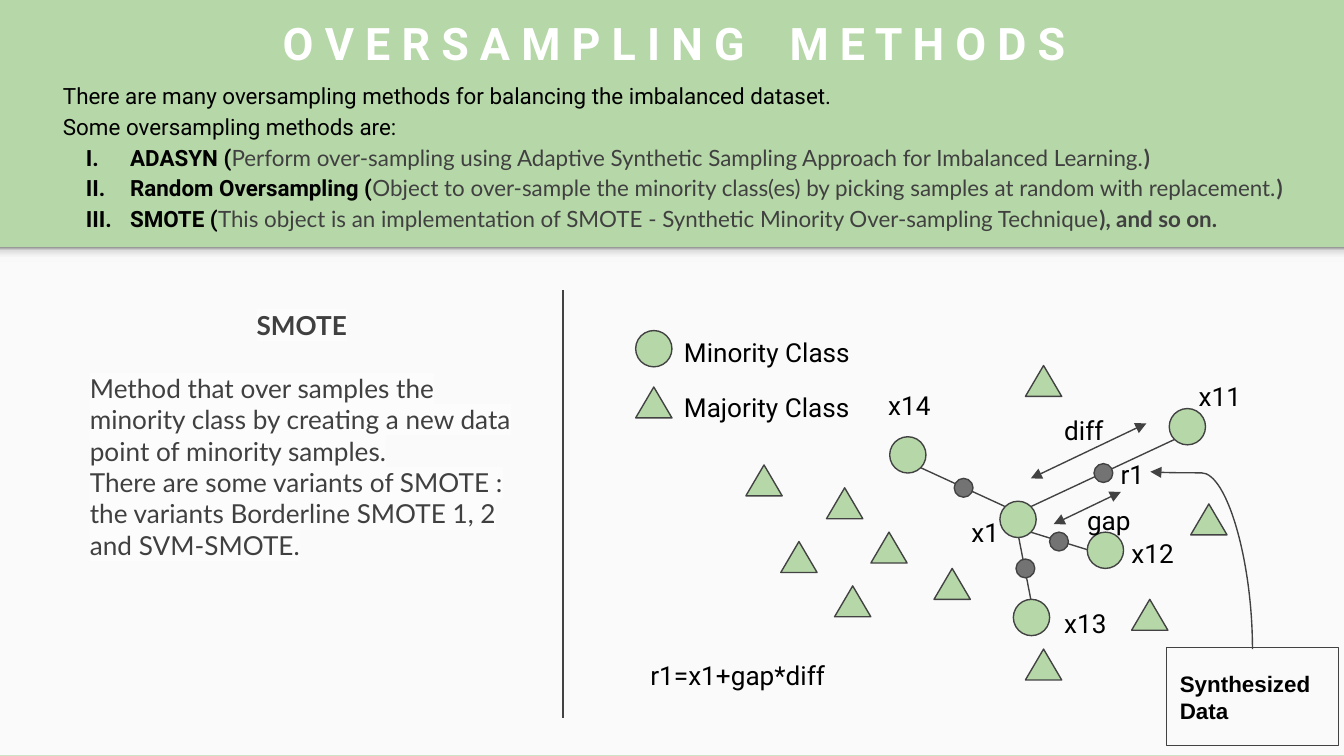
from lxml import etree
from pptx import Presentation
from pptx.dml.color import RGBColor
from pptx.enum.shapes import MSO_CONNECTOR, MSO_SHAPE
from pptx.enum.text import MSO_ANCHOR, MSO_AUTO_SIZE, PP_ALIGN
from pptx.oxml.ns import qn
from pptx.util import Inches, Pt

OVAL, TRIANGLE, RECT = MSO_SHAPE.OVAL, MSO_SHAPE.ISOSCELES_TRIANGLE, MSO_SHAPE.RECTANGLE
STRAIGHT, CURVE = MSO_CONNECTOR.STRAIGHT, MSO_CONNECTOR.CURVE
CENTER, LEFT = PP_ALIGN.CENTER, PP_ALIGN.LEFT
TOP, MIDDLE, BOTTOM = MSO_ANCHOR.TOP, MSO_ANCHOR.MIDDLE, MSO_ANCHOR.BOTTOM
GROW, FIXED = MSO_AUTO_SIZE.SHAPE_TO_FIT_TEXT, MSO_AUTO_SIZE.NONE

GREEN = RGBColor(0xB6, 0xD7, 0xA8)
PAPER = RGBColor(0xFA, 0xFA, 0xFA)
WHITE = RGBColor(0xFF, 0xFF, 0xFF)
BLACK = RGBColor(0, 0, 0)
GRAY = RGBColor(0x40, 0x40, 0x40)
OUTLINE = RGBColor(0x42, 0x42, 0x42)
DOT_GRAY = RGBColor(0x73, 0x73, 0x73)
MARKER_TINT = "FCFCFC"

# Content
TITLE = ["O V E R S A M P L I N G", " ", "M E T H O D S"]
INTRO = ["There are many oversampling methods for balancing the imbalanced dataset.",
         "Some oversampling methods are:"]
METHODS = [  # name, description, ending
    ("ADASYN (", "Perform over-sampling using Adaptive Synthetic Sampling Approach "
     "for Imbalanced Learning.", ")"),
    ("Random Oversampling (", "Object to over-sample the minority class(es) by picking "
     "samples at random with replacement.", ")"),
    ("SMOTE (", "This object is an implementation of SMOTE - Synthetic Minority "
     "Over-sampling Technique", "), and so on."),
]
SMOTE_TITLE = "SMOTE"
SMOTE_TEXT = [
    "Method that over samples the minority class by creating a new data point "
    "of minority samples.",
    "There are some variants of SMOTE : the variants Borderline SMOTE 1, 2 and SVM-SMOTE.",
]
CALLOUT = "Synthesized Data"

# Diagram: left and top of each marker, the legend's one first
MINORITY = [(4.73, 2.46), (6.62, 3.25), (7.44, 3.73), (7.54, 4.46), (8.7, 3.04), (8.09, 3.96)]
MAJORITY = [(4.73, 2.88), (5.81, 4.03), (7.63, 2.72), (5.55, 3.46), (8.42, 4.46), (6.21, 4.36),
            (6.15, 3.63), (6.95, 4.23), (6.48, 3.96), (7.63, 4.83), (8.86, 3.75)]
SYNTHETIC = [(7.1, 3.56), (8.14, 3.45), (7.56, 4.16), (7.81, 3.96)]
NEIGHBOUR_LINES = [(6.85, 3.48, 7.48, 3.77), (8.74, 3.27, 7.67, 3.77),
                   (7.67, 4.46, 7.58, 4), (8.09, 4.09, 7.67, 3.96)]
DISTANCE_ARROWS = [(7.67, 3.56, 8.53, 3.15), (7.84, 3.9, 8.34, 3.66)]
DIVIDER = (4.19, 2.16, 4.19, 5.34)
LABELS = [  # text, left, top, width
    ("diff", 7.82, 2.98, 0.5), ("gap", 7.99, 3.65, 0.63), ("r1", 8.24, 3.31, 0.5),
    ("Minority Class", 4.99, 2.4, 1.58), ("Majority Class", 4.99, 2.81, 1.58),
    ("x11", 8.82, 2.73, 0.63), ("x1", 7.13, 3.74, 0.5), ("x12", 8.32, 3.9, 0.63),
    ("x13", 7.82, 4.42, 0.58), ("x14", 6.51, 2.8, 0.63), ("r1=x1+gap*diff", 4.74, 4.81, 1.58),
]
MARKERS = [  # places, preset, width, height, fill
    (MINORITY, OVAL, 0.27, 0.27, GREEN),
    (MAJORITY, TRIANGLE, 0.27, 0.23, GREEN),
]
SHADE_STOPS = [(0, "F9F9F9"), (36, "F9F9F9"), (80, "DEDEDE"), (100, "999999")]

# Text formats
HEADING = dict(size=Pt(24), name="Roboto", bold=True, color=WHITE)
PLAIN = dict(size=Pt(12), name="Roboto", bold=False, color=BLACK)
STRONG = {**PLAIN, "bold": True}
DETAIL = dict(size=Pt(12), name="Lato", bold=False, color=GRAY)
ENDING = {**DETAIL, "bold": True}
LABEL = {**PLAIN, "size": Pt(14)}
BODY = {**DETAIL, "size": Pt(14)}
BODY_TITLE = {**BODY, "bold": True}
CALLOUT_FONT = {**STRONG, "name": "Arial"}

# A 16:9 slide
prs = Presentation()
prs.slide_width = Inches(10)
prs.slide_height = prs.slide_width * 9 // 16
slide = prs.slides.add_slide(prs.slide_layouts[5])
slide.background.fill.solid()
slide.background.fill.fore_color.rgb = GREEN
shapes = slide.shapes


def add_xml(parent, tag, **attributes):
    return etree.SubElement(parent, qn(tag), attributes)


def add_run(paragraph, text, style, highlight=None):
    run = paragraph.add_run()
    run.text = text
    for key, value in style.items():
        if key == "color":
            run.font.color.rgb = value
        else:
            setattr(run.font, key, value)
    if highlight:
        mark = etree.Element(qn("a:highlight"))
        add_xml(mark, "a:srgbClr", val=highlight)
        run.font._element.find(qn("a:solidFill")).addnext(mark)
    return run


def set_frame(shape, anchor=TOP, auto_size=GROW):
    frame = shape.text_frame
    settings = dict(word_wrap=True, auto_size=auto_size, vertical_anchor=anchor,
                    margin_left=Inches(0.1), margin_right=Inches(0.1),
                    margin_top=Inches(0.1), margin_bottom=Inches(0.1))
    for key, value in settings.items():
        setattr(frame, key, value)
    return frame


def add_text(*box):
    return set_frame(shapes.add_textbox(*map(Inches, box)))


def add_paragraph(frame, align=LEFT):
    first = frame.paragraphs[0]
    paragraph = frame.add_paragraph() if first.runs else first
    paragraph.alignment = align
    return paragraph


def add_shape(preset, box, fill=None, outlined=True):
    shape = shapes.add_shape(preset, *map(Inches, box))
    shape.shadow.inherit = False
    if fill is None:
        shape.fill.background()
    else:
        shape.fill.solid()
        shape.fill.fore_color.rgb = fill
    if outlined:
        shape.line.color.rgb = OUTLINE
        shape.line.width = Pt(0.75)
    else:
        shape.line.fill.background()
    return shape


def add_line(ends, kind=STRAIGHT, arrows=()):
    line = shapes.add_connector(kind, *map(Inches, ends))
    line.line.color.rgb = OUTLINE
    line.line.width = Pt(0.75)
    for end in arrows:
        add_xml(line.line._get_or_add_ln(), end, type="triangle")
    add_xml(line._element.spPr, "a:effectLst")
    return line


# Lower panel and the shade under the header
add_shape(RECT, (0, 1.84, 10, 3.78), PAPER, outlined=False)
shade = add_shape(RECT, (0, 1.84, 10, 0.12), outlined=False)
shade.fill.gradient()
shade.fill.gradient_angle = 90
stops = shade._element.spPr.find(qn("a:gradFill")).find(qn("a:gsLst"))
for stop in list(stops):
    stops.remove(stop)
for position, color in SHADE_STOPS:
    add_xml(add_xml(stops, "a:gs", pos=str(position * 1000)), "a:srgbClr", val=color)

# Title, with the word gap widened by character spacing
title = shapes.title
title.left, title.top, title.width, title.height = map(Inches, (0.52, -0.05, 8.99, 0.67))
heading = add_paragraph(set_frame(title, BOTTOM, FIXED), CENTER)
for part in TITLE:
    run = add_run(heading, part, HEADING)
    if part == " ":
        run.font._element.set("spc", "1800")

# Header text with the numbered methods
header = add_text(0.37, 0.48, 9.51, 1.33)
for text in INTRO:
    paragraph = add_paragraph(header)
    paragraph.line_spacing = 1.15
    add_run(paragraph, text, PLAIN)
for method in METHODS:
    paragraph = add_paragraph(header)
    paragraph.line_spacing = 1.15
    for text, style in zip(method, (STRONG, DETAIL, ENDING)):
        add_run(paragraph, text, style)
    props = paragraph._p.get_or_add_pPr()
    props.set("marL", str(Inches(0.5)))
    props.set("indent", str(Inches(-0.33)))
    add_xml(add_xml(props, "a:buClr"), "a:srgbClr", val=str(BLACK))
    add_xml(props, "a:buFont", typeface="Roboto")
    add_xml(props, "a:buAutoNum", type="romanUcPeriod")

# Diagram
add_line(DIVIDER)
for places, preset, width, height, fill in MARKERS:
    for left, top in places:
        add_shape(preset, (left, top, width, height), fill)
for ends in NEIGHBOUR_LINES:
    add_line(ends)
for left, top in SYNTHETIC:
    add_shape(OVAL, (left, top, 0.14, 0.14), DOT_GRAY)
for ends in DISTANCE_ARROWS:
    add_line(ends, arrows=("a:headEnd", "a:tailEnd"))
for text, left, top, width in LABELS:
    add_run(add_paragraph(add_text(left, top, width, 0.44)), text, LABEL)

# Callout: the curve is a flipped connector turned a quarter
pointer = add_line((8.28, 3.79, 9.6, 4.55), CURVE, arrows=("a:tailEnd",))
turn = pointer._element.spPr.find(qn("a:xfrm"))
turn.set("rot", str(90 * 60000))
turn.set("flipH", "1")
bend = pointer._element.spPr.find(qn("a:prstGeom")).find(qn("a:avLst"))
add_xml(bend, "a:gd", name="adj1", fmla="val 99400")
callout = add_shape(RECT, (8.68, 4.82, 1.28, 0.73))
add_run(add_paragraph(set_frame(callout, MIDDLE, FIXED)), CALLOUT, CALLOUT_FONT)

# SMOTE description
description = add_text(0.57, 2.2, 3.35, 2.09)
smote_heading = add_paragraph(description, CENTER)
smote_heading.space_after = Pt(17)
add_run(smote_heading, SMOTE_TITLE, BODY_TITLE, MARKER_TINT)
for text in SMOTE_TEXT:
    add_run(add_paragraph(description), text, BODY, MARKER_TINT)

prs.save("out.pptx")
